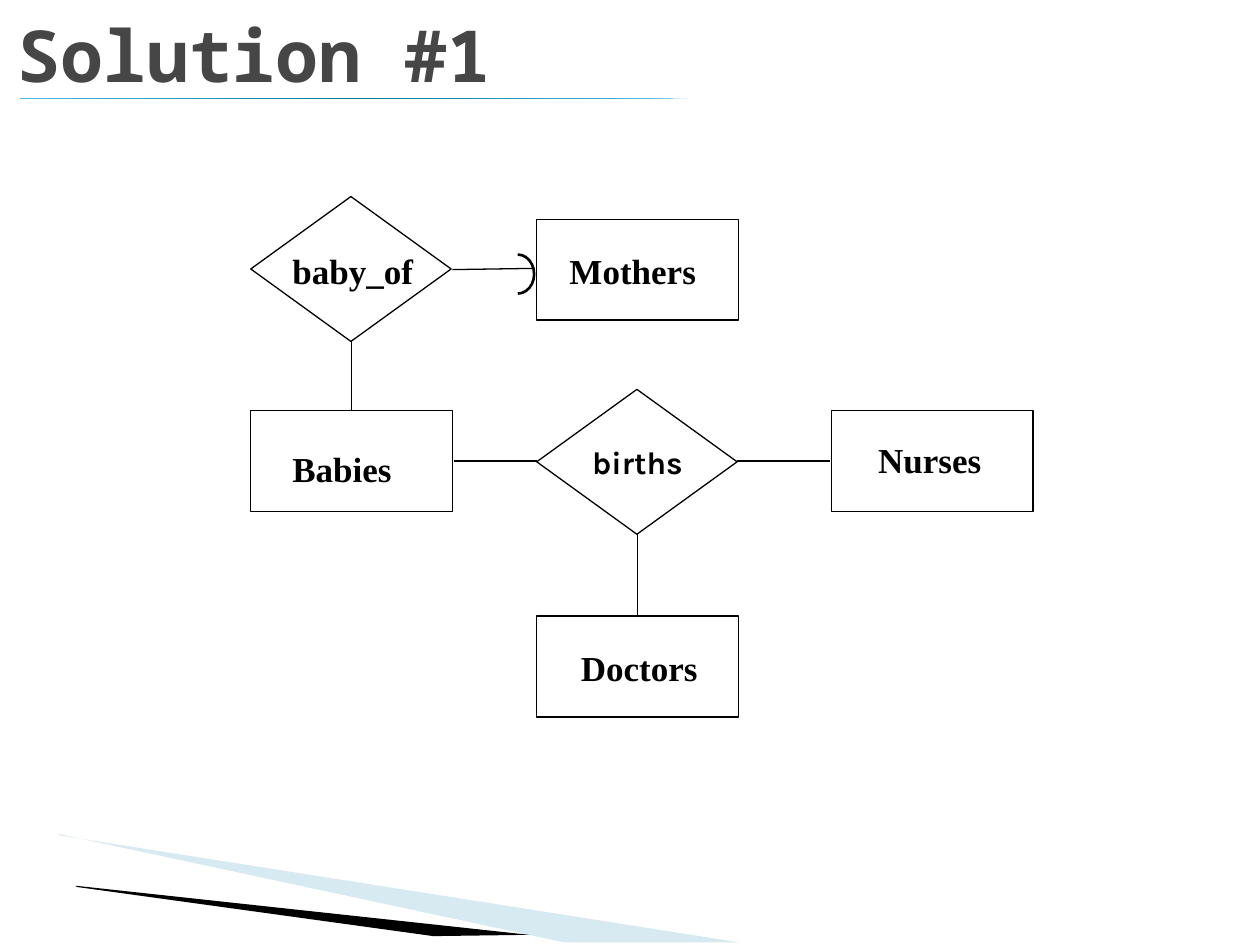
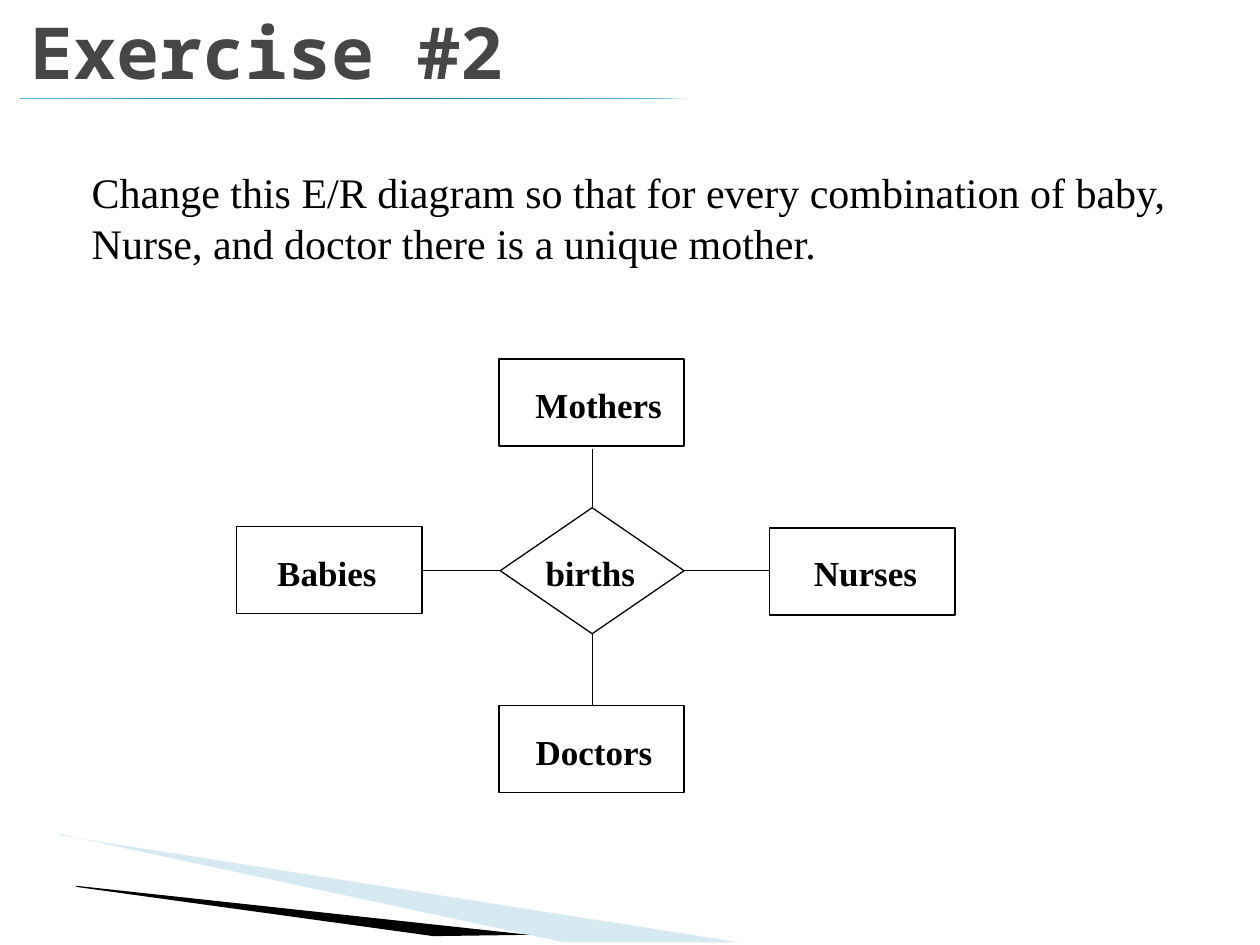
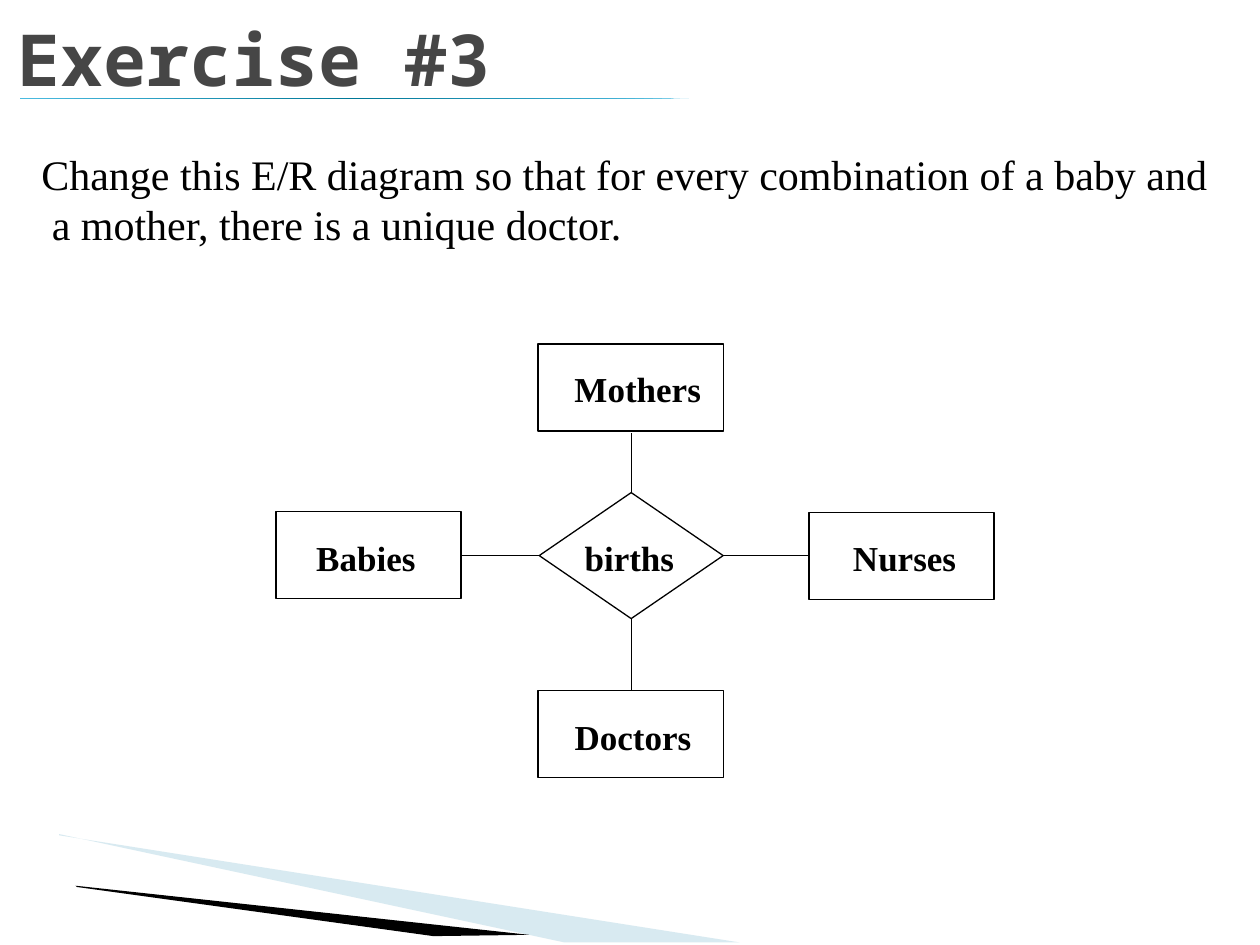
import copy

import pptx
import pptx.dml.color
import pptx.enum.shapes
import pptx.enum.text
import pptx.oxml.ns
import pptx.oxml.xmlchemy
import pptx.util

Inches = pptx.util.Inches
Pt = pptx.util.Pt
Kind = pptx.enum.shapes.MSO_SHAPE
Anchor = pptx.enum.text.MSO_ANCHOR
qn = pptx.oxml.ns.qn

INK, PAPER, GREY = "000000", "FFFFFF", "464646"
SERIF, MONO, SANS = "Times New Roman", "Noto Sans Mono", "Karla"
WEDGES = [
    ("9FCBDC", 40, [(0.47, 6.63), (5.87, 7.48), (4.48, 7.48), (0.47, 6.62)]),
    (INK, 100, [(0.6, 7.03), (4.2, 7.42), (3.44, 7.43), (0.61, 7.04)]),
]
BAR = [("4ABBE0", 0), ("007897", 0.5), ("4ABBE0", 1)]
WIDTHS = {"Doctors": 0.95, "Mothers": 1.03, "Babies": 0.81, "Nurses": 0.84,
          "baby_of": 0.98, "births": 0.8}

# A node is its name, the left and top of its shape, the left and top of its label.
BIRTH = {
    "box": (1.6, 0.8), "gem": (1.59, 1.15),
    "nodes": [
        ("Doctors", 4.26, 4.89, 4.61, 5.13),
        ("Mothers", 4.26, 1.74, 4.52, 1.98),
        ("births", 4.26, 3.09, 4.7, 3.52),
        ("Babies", 1.99, 3.26, 2.32, 3.55),
        ("Nurses", 6.6, 3.26, 6.97, 3.48),
        ("baby_of", 1.99, 1.56, 2.32, 1.98),
    ],
    "lines": [(5.06, 4.23, 5.06, 4.88), (3.6, 3.66, 4.26, 3.66),
              (5.85, 3.66, 6.59, 3.66), (3.59, 2.14, 4.24, 2.13),
              (2.79, 2.71, 2.79, 3.26)],
}
# The star is measured from the centre of its diamond.
STAR = {
    "box": (1.47, 0.69), "gem": (1.46, 1),
    "nodes": [
        ("Doctors", -0.74, 1.07, -0.45, 1.27),
        ("Mothers", -0.74, -1.68, -0.45, -1.49),
        ("births", -0.73, -0.5, -0.37, -0.15),
        ("Babies", -2.82, -0.35, -2.5, -0.15),
        ("Nurses", 1.41, -0.34, 1.76, -0.15),
    ],
    "lines": [(0, 0.5, 0, 1.07), (0, -0.97, 0, -0.5),
              (-1.34, 0, -0.73, 0), (0.73, 0, 1.41, 0)],
}
# Title, its place, body lines, their place, diagram, its origin, font of "births".
PAGES = [
    ("Solution #1", (0.04, 0.03), [], None, BIRTH, (0, 0), (18, SANS)),
    ("Exercise #2", (0.14, 0),
     ["Change this E/R diagram so that for every combination of baby,",
      "Nurse, and doctor there is a unique mother."],
     (0.63, 0.78), STAR, (4.7, 4.53), (20, SERIF)),
    ("Exercise #3", (0.04, 0.06),
     ["Change this E/R diagram so that for every combination of a baby and",
      " a mother, there is a unique doctor."],
     (0.23, 0.63), STAR, (5.01, 4.41), (20, SERIF)),
]


def hue(code):
    return pptx.dml.color.RGBColor.from_string(code)


def write(slide, lines, area, size, face, code=INK, bold=True,
          anchor=Anchor.TOP, wrap=False, inset=(0, 0)):
    """Add a text box with one paragraph for each line."""
    frame = slide.shapes.add_textbox(*map(Inches, area)).text_frame
    frame.word_wrap = wrap
    frame.vertical_anchor = anchor
    frame.margin_left = frame.margin_right = Inches(inset[0])
    frame.margin_top = frame.margin_bottom = Inches(inset[1])
    for i, line in enumerate(lines):
        para = frame.add_paragraph() if i else frame.paragraphs[0]
        run = para.add_run()
        run.text = line
        run.font.size = Pt(size)
        run.font.name = face
        run.font.bold = bold
        run.font.color.rgb = hue(code)


deck = pptx.Presentation()
deck.slide_width, deck.slide_height = Inches(10), Inches(7.5)

for title, spot, body, place, chart, (ox, oy), font in PAGES:
    slide = deck.slides.add_slide(deck.slide_layouts[6])
    shapes = slide.shapes

    # Wedges at the foot
    for code, alpha, points in WEDGES:
        dots = [(Inches(x), Inches(y)) for x, y in points]
        path = shapes.build_freeform(*dots[0])
        path.add_line_segments(dots[1:])
        wedge = path.convert_to_shape()
        wedge.shadow.inherit = False
        wedge.line.fill.background()
        wedge.fill.solid()
        wedge.fill.fore_color.rgb = hue(code)
        if alpha < 100:
            clear = pptx.oxml.xmlchemy.OxmlElement("a:alpha")
            clear.set("val", str(alpha * 1000))
            wedge.element.spPr.find(".//" + qn("a:srgbClr")).append(clear)

    # Thin bar under the title
    bar = shapes.add_shape(Kind.RIGHT_TRIANGLE, Inches(0.16), Inches(0.78),
                           Inches(5.31), Inches(0.01))
    bar.element.spPr.find(qn("a:xfrm")).set("flipV", "1")
    bar.shadow.inherit = False
    bar.line.fill.background()
    bar.fill.gradient()
    bar.fill.gradient_angle = 0
    stops = bar.element.spPr.find(".//" + qn("a:gsLst"))
    stops.insert(1, copy.deepcopy(stops[0]))
    for stop, (code, pos) in zip(bar.fill.gradient_stops, BAR):
        stop.color.rgb = hue(code)
        stop.position = pos

    write(slide, [title], (*spot, 8.52, 0.79), 41, MONO, GREY,
          anchor=Anchor.BOTTOM, wrap=True, inset=(0.1, 0.05))
    if body:
        write(slide, body, (*place, 9.5, 1.89), 24, SERIF, bold=False,
              anchor=Anchor.MIDDLE, inset=(0.1, 0.05))

    # Entities and relationships
    for name, left, top, tx, ty in chart["nodes"]:
        gem = name in ("births", "baby_of")
        size = chart["gem" if gem else "box"]
        node = shapes.add_shape(Kind.DIAMOND if gem else Kind.RECTANGLE,
                                Inches(ox + left), Inches(oy + top),
                                *map(Inches, size))
        node.shadow.inherit = False
        node.fill.solid()
        node.fill.fore_color.rgb = hue(PAPER)
        node.line.color.rgb = hue(INK)
        node.line.width = Pt(0.75)
        pt, face = font if name == "births" else (20, SERIF)
        write(slide, [name], (ox + tx, oy + ty, WIDTHS[name], 0.33), pt, face)

    for x1, y1, x2, y2 in chart["lines"]:
        link = shapes.add_connector(
            pptx.enum.shapes.MSO_CONNECTOR.STRAIGHT,
            Inches(ox + x1), Inches(oy + y1), Inches(ox + x2), Inches(oy + y2))
        link.line.color.rgb = hue(INK)
        link.line.width = Pt(0.75)
        link.element.spPr.append(pptx.oxml.xmlchemy.OxmlElement("a:effectLst"))

    # Rounded end at Mothers, from an upper and a lower quarter
    if chart is BIRTH:
        for start, end in ((270, 0), (0, 90)):
            arc = shapes.add_shape(Kind.ARC, Inches(3.98), Inches(2.02),
                                   Inches(0.26), Inches(0.31))
            arc.adjustments[0] = start * 0.6
            arc.adjustments[1] = end * 0.6
            arc.shadow.inherit = False
            arc.fill.background()
            arc.line.color.rgb = hue(INK)
            arc.line.width = Pt(1.5)

deck.save("out.pptx")
